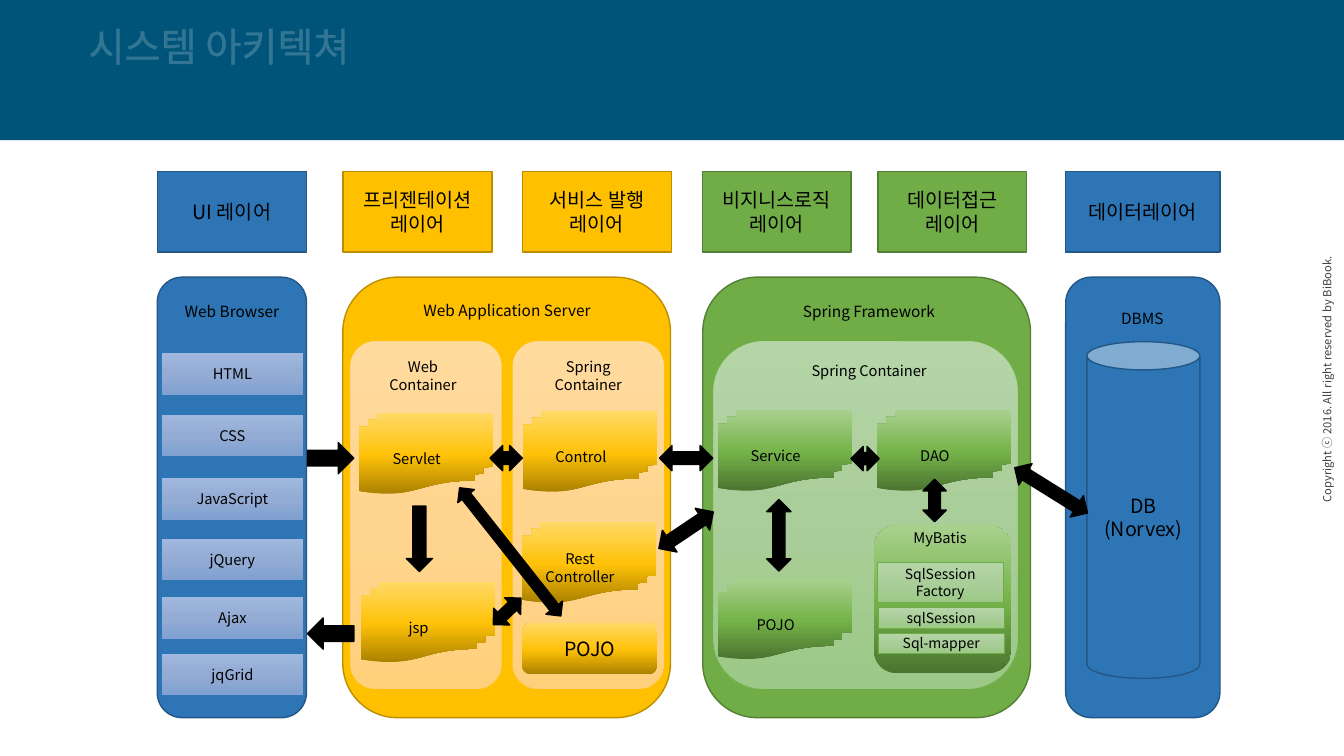
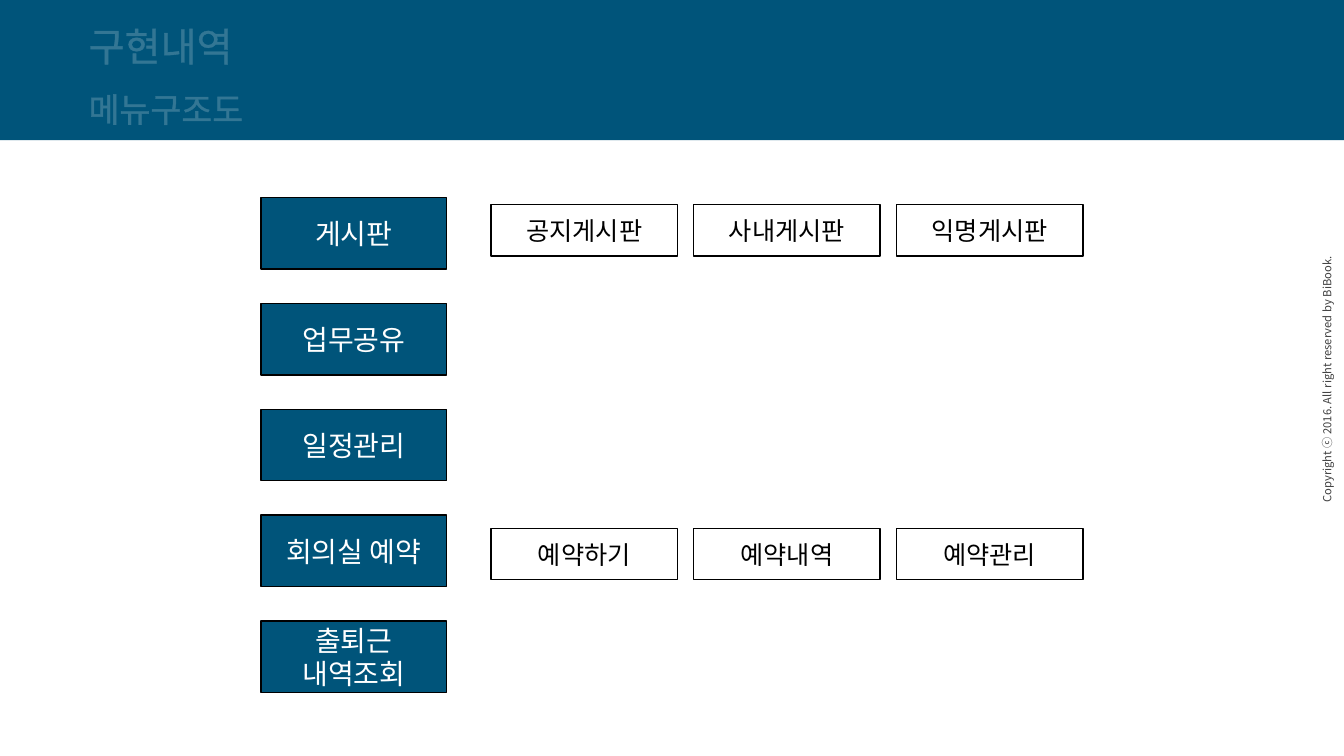
import copy
from dataclasses import dataclass
from typing import Optional

import pptx
import pptx.dml.color
import pptx.enum.shapes
import pptx.enum.text
import pptx.oxml
import pptx.oxml.ns
import pptx.util
from lxml import etree

Inches = pptx.util.Inches
Pt = pptx.util.Pt
RGBColor = pptx.dml.color.RGBColor
SHAPE = pptx.enum.shapes.MSO_SHAPE
ALIGN = pptx.enum.text.PP_ALIGN
ANCHOR = pptx.enum.text.MSO_ANCHOR
AUTO_SIZE = pptx.enum.text.MSO_AUTO_SIZE
qn = pptx.oxml.ns.qn

FONT = "Noto Sans CJK KR"
BLACK = RGBColor(0x00, 0x00, 0x00)
WHITE = RGBColor(0xFF, 0xFF, 0xFF)
GRAY = RGBColor(0x40, 0x40, 0x40)
NAVY = RGBColor(0x00, 0x54, 0x7A)
BLUE = RGBColor(0x2E, 0x75, 0xB5)
BLUE_EDGE = RGBColor(0x22, 0x57, 0x86)
GOLD = RGBColor(0xFF, 0xC0, 0x00)
GOLD_EDGE = RGBColor(0xBD, 0x8E, 0x00)
GREEN = RGBColor(0x70, 0xAD, 0x47)
GREEN_EDGE = RGBColor(0x53, 0x80, 0x35)


@dataclass(frozen=True)
class Gradient:
    colors: tuple[RGBColor, RGBColor, RGBColor]
    middle: float
    angle: int


def soft(*codes: str) -> Gradient:
    return Gradient(tuple(map(RGBColor.from_string, codes)), 0.5, 270)


def deep(*codes: str) -> Gradient:
    return Gradient(tuple(map(RGBColor.from_string, codes)), 0.48, 90)


SOFT_BLUE = soft("A0B8DE", "94ACD4", "7FA0D1")
SOFT_GOLD = soft("FFDB9E", "FFD590", "FFD07C")
SOFT_GREEN = soft("B5D5A7", "AACE9A", "9CC987")
DEEP_GOLD = deep("AB8100", "FFC208", "FFD966")
DEEP_GREEN = deep("4B7430", "74B349", "A9D18E")


@dataclass(frozen=True)
class Style:
    fill: RGBColor | Gradient | None = None
    line: Optional[RGBColor] = None
    width: float = 1
    size: float = 10.5
    color: RGBColor = BLACK


BAND = Style(NAVY)
BLUE_LAYER = Style(BLUE, BLUE_EDGE, size=14)
GOLD_LAYER = Style(GOLD, GOLD_EDGE, size=14)
GREEN_LAYER = Style(GREEN, GREEN_EDGE, size=14)
BLUE_ITEM = Style(SOFT_BLUE, BLUE, 0.5)
GOLD_PANEL = Style(SOFT_GOLD, GOLD, 0.5)
GREEN_PANEL = Style(SOFT_GREEN, GREEN, 0.5, 10)
GOLD_PART = Style(DEEP_GOLD)
GOLD_POJO = Style(DEEP_GOLD, size=14)
GREEN_PART = Style(DEEP_GREEN)
ARROW = Style(BLACK, BLACK)
MENU = Style(NAVY, BLACK, size=20, color=WHITE)
SUBMENU = Style(None, BLACK, size=18)


@dataclass(frozen=True)
class Box:
    left: float
    top: float
    width: float
    height: float
    style: Style
    text: str = ""
    kind: SHAPE = SHAPE.RECTANGLE
    rotation: float = 0


@dataclass(frozen=True)
class Label:
    left: float
    top: float
    width: float
    height: float
    text: str
    size: float = 10.5


def write_text(sp, text: str, *, size: float, color: RGBColor = BLACK,
               align: ALIGN = ALIGN.CENTER, anchor: ANCHOR = ANCHOR.MIDDLE,
               wrap: bool = True, outlined: bool = False) -> None:
    tf = sp.text_frame
    tf.word_wrap = wrap
    tf.vertical_anchor = anchor
    for i, line in enumerate(text.split("\n")):
        p = tf.add_paragraph() if i else tf.paragraphs[0]
        p.alignment = align
        r = p.add_run()
        r.text = line
        r.font.size = Pt(size)
        r.font.color.rgb = color
        r.font.name = FONT
        r_pr = r.font._element
        etree.SubElement(r_pr, qn("a:ea"), typeface=FONT)
        if outlined:
            ln = etree.Element(qn("a:ln"), w=str(Pt(0.75)))
            fill = etree.SubElement(ln, qn("a:solidFill"))
            clr = etree.SubElement(fill, qn("a:srgbClr"), val=str(color))
            etree.SubElement(clr, qn("a:alpha"), val="20000")
            r_pr.insert(0, ln)


def paint(sp, style: Style) -> None:
    if isinstance(style.fill, Gradient):
        sp.fill.gradient()
        gs_list = next(sp._element.iter(qn("a:gsLst")))
        gs_list.insert(1, copy.deepcopy(gs_list[0]))
        positions = (0, style.fill.middle, 1)
        for stop, color, position in zip(sp.fill.gradient_stops, style.fill.colors, positions):
            stop.color.rgb = color
            stop.position = position
        sp.fill.gradient_angle = style.fill.angle
    elif style.fill is None:
        sp.fill.background()
    else:
        sp.fill.solid()
        sp.fill.fore_color.rgb = style.fill
    if style.line is None:
        sp.line.fill.background()
    else:
        sp.line.color.rgb = style.line
        sp.line.width = Pt(style.width)


def draw_box(s, box: Box) -> None:
    sp = s.shapes.add_shape(box.kind, Inches(box.left), Inches(box.top),
                            Inches(box.width), Inches(box.height))
    sp.shadow.inherit = False
    sp.rotation = box.rotation
    paint(sp, box.style)
    if box.text:
        write_text(sp, box.text, size=box.style.size, color=box.style.color)


def draw_label(s, label: Label, rotation: float = 0, **text_format) -> None:
    sp = s.shapes.add_textbox(Inches(label.left), Inches(label.top),
                              Inches(label.width), Inches(label.height))
    sp.rotation = rotation
    sp.text_frame.auto_size = AUTO_SIZE.SHAPE_TO_FIT_TEXT
    write_text(sp, label.text, size=label.size, anchor=ANCHOR.TOP, **text_format)


def add_framed_slide(prs, *titles: Label):
    s = prs.slides.add_slide(prs.slide_layouts[6])
    draw_box(s, Box(0, 0, 13.33, 1.39, BAND))
    outlined = dict(align=ALIGN.LEFT, wrap=False, outlined=True)
    notice = Label(11.83, 3.63, 2.67, 0.24, "Copyright ⓒ 2016. All right reserved by BiBook.", 8)
    draw_label(s, notice, rotation=270, color=GRAY, **outlined)
    for title in titles:
        draw_label(s, title, color=WHITE, **outlined)
    return s


def layer(left: float, width: float, style: Style, text: str) -> Box:
    return Box(left, 1.7, width, 0.8, style, text)


def column(left: float, width: float, style: Style) -> Box:
    return Box(left, 2.75, width, 4.37, style, kind=SHAPE.ROUNDED_RECTANGLE)


def panel(left: float, width: float, style: Style) -> Box:
    return Box(left, 3.38, width, 3.46, style, kind=SHAPE.ROUNDED_RECTANGLE)


def part(left: float, top: float, style: Style, text: str) -> Box:
    return Box(left, top, 1.33, 0.8, style, text, SHAPE.FLOWCHART_MULTIDOCUMENT)


def arrow(left: float, top: float, width: float, height: float,
          rotation: float = 0, kind: SHAPE = SHAPE.LEFT_RIGHT_ARROW) -> Box:
    return Box(left, top, width, height, ARROW, kind=kind, rotation=rotation)


BROWSER_ITEMS = (("HTML", 3.5), ("CSS", 4.11), ("JavaScript", 4.74),
                 ("jQuery", 5.34), ("Ajax", 5.92), ("jqGrid", 6.48))

ARCHITECTURE = (
    layer(1.56, 1.48, BLUE_LAYER, "UI 레이어"),
    layer(3.4, 1.48, GOLD_LAYER, "프리젠테이션\n레이어"),
    layer(5.18, 1.48, GOLD_LAYER, "서비스 발행\n레이어"),
    layer(6.97, 1.47, GREEN_LAYER, "비지니스로직\n레이어"),
    layer(8.71, 1.47, GREEN_LAYER, "데이터접근\n레이어"),
    layer(10.57, 1.53, BLUE_LAYER, "데이터레이어"),
    column(1.56, 1.48, BLUE_LAYER),
    column(3.4, 3.25, GOLD_LAYER),
    column(6.97, 3.25, GREEN_LAYER),
    column(10.57, 1.53, BLUE_LAYER),
    *(Box(1.6, top, 1.41, 0.42, BLUE_ITEM, text) for text, top in BROWSER_ITEMS),
    Box(10.78, 3.39, 1.12, 3.34, BLUE_LAYER, "DB\n(Norvex)", SHAPE.CAN),
    panel(3.47, 1.51, GOLD_PANEL),
    panel(5.08, 1.51, GOLD_PANEL),
    panel(7.07, 3.03, GREEN_PANEL),
    part(3.56, 4.1, GOLD_PART, "Servlet"),
    part(5.19, 4.08, GOLD_PART, "Control"),
    part(3.58, 5.77, GOLD_PART, "jsp"),
    part(5.18, 5.18, GOLD_PART, "Rest\nController"),
    Box(5.18, 6.18, 1.34, 0.51, GOLD_POJO, "POJO", SHAPE.ROUNDED_RECTANGLE),
    part(7.12, 4.07, GREEN_PART, "Service"),
    part(8.7, 4.07, GREEN_PART, "DAO"),
    part(7.12, 5.74, GREEN_PART, "POJO"),
    Box(8.67, 5.21, 1.36, 1.47, GREEN_PART, kind=SHAPE.ROUNDED_RECTANGLE),
    Box(8.7, 5.58, 1.25, 0.4, GREEN_PANEL, "SqlSession\nFactory"),
    Box(8.71, 6.03, 1.25, 0.2, GREEN_PANEL, "sqlSession"),
    Box(8.71, 6.28, 1.25, 0.2, GREEN_PANEL, "Sql-mapper"),
)

LABELS = (
    Label(1.6, 2.95, 1.4, 0.3, "Web Browser", 11),
    Label(3.85, 2.94, 2.36, 0.3, "Web Application Server", 11),
    Label(7.45, 2.95, 2.34, 0.3, "Spring Framework", 11),
    Label(10.61, 3.02, 1.44, 0.3, "DBMS", 11),
    Label(3.61, 3.5, 1.17, 0.5, "Web\nContainer"),
    Label(5.25, 3.5, 1.17, 0.5, "Spring\nContainer"),
    Label(7.45, 3.54, 2.34, 0.3, "Spring Container"),
    Label(8.71, 5.2, 1.23, 0.3, "MyBatis"),
)

ARROWS = (
    arrow(4.03, 5.02, 0.26, 0.65, kind=SHAPE.DOWN_ARROW),
    arrow(4.84, 5.95, 0.38, 0.23, 316.2),
    arrow(4.25, 5.37, 1.62, 0.21, 51.7),
    arrow(3.05, 6.13, 0.46, 0.31, 180, SHAPE.RIGHT_ARROW),
    arrow(3.05, 4.39, 0.46, 0.31, kind=SHAPE.RIGHT_ARROW),
    arrow(6.54, 4.42, 0.53, 0.25),
    arrow(6.48, 5.13, 0.65, 0.26, 326.1),
    arrow(8.44, 4.43, 0.28, 0.24),
    arrow(4.86, 4.42, 0.32, 0.25),
    arrow(9.06, 4.85, 0.42, 0.23, 270),
    arrow(7.37, 5.19, 0.71, 0.24, 270),
    arrow(10, 4.74, 0.85, 0.25, 31.9),
)

MENUS = ("게시판", "업무공유", "일정관리", "회의실 예약", "출퇴근\n내역조회")
SUBMENUS = {2.03: ("공지게시판", "사내게시판", "익명게시판"),
            5.24: ("예약하기", "예약내역", "예약관리")}


def build_architecture(prs) -> None:
    s = add_framed_slide(prs, Label(0.78, 0.17, 2.9, 0.57, "시스템 아키텍쳐", 28))
    for box in ARCHITECTURE:
        draw_box(s, box)
    for label in LABELS:
        draw_label(s, label)
    for box in ARROWS:
        draw_box(s, box)


def build_menu(prs) -> None:
    s = add_framed_slide(prs, Label(0.78, 0.17, 1.68, 0.57, "구현내역", 28),
                         Label(0.78, 0.83, 1.78, 0.5, "메뉴구조도", 24))
    for row, text in enumerate(MENUS):
        draw_box(s, Box(2.59, 1.96 + 1.05 * row, 1.84, 0.71, MENU, text))
    for top, texts in SUBMENUS.items():
        for col, text in enumerate(texts):
            draw_box(s, Box(4.87 + 2.01 * col, top, 1.85, 0.51, SUBMENU, text))


def main() -> None:
    prs = pptx.Presentation()
    prs.slide_width, prs.slide_height = Inches(13.33), Inches(7.5)
    build_architecture(prs)
    build_menu(prs)
    prs.save("out.pptx")


if __name__ == "__main__":
    main()
